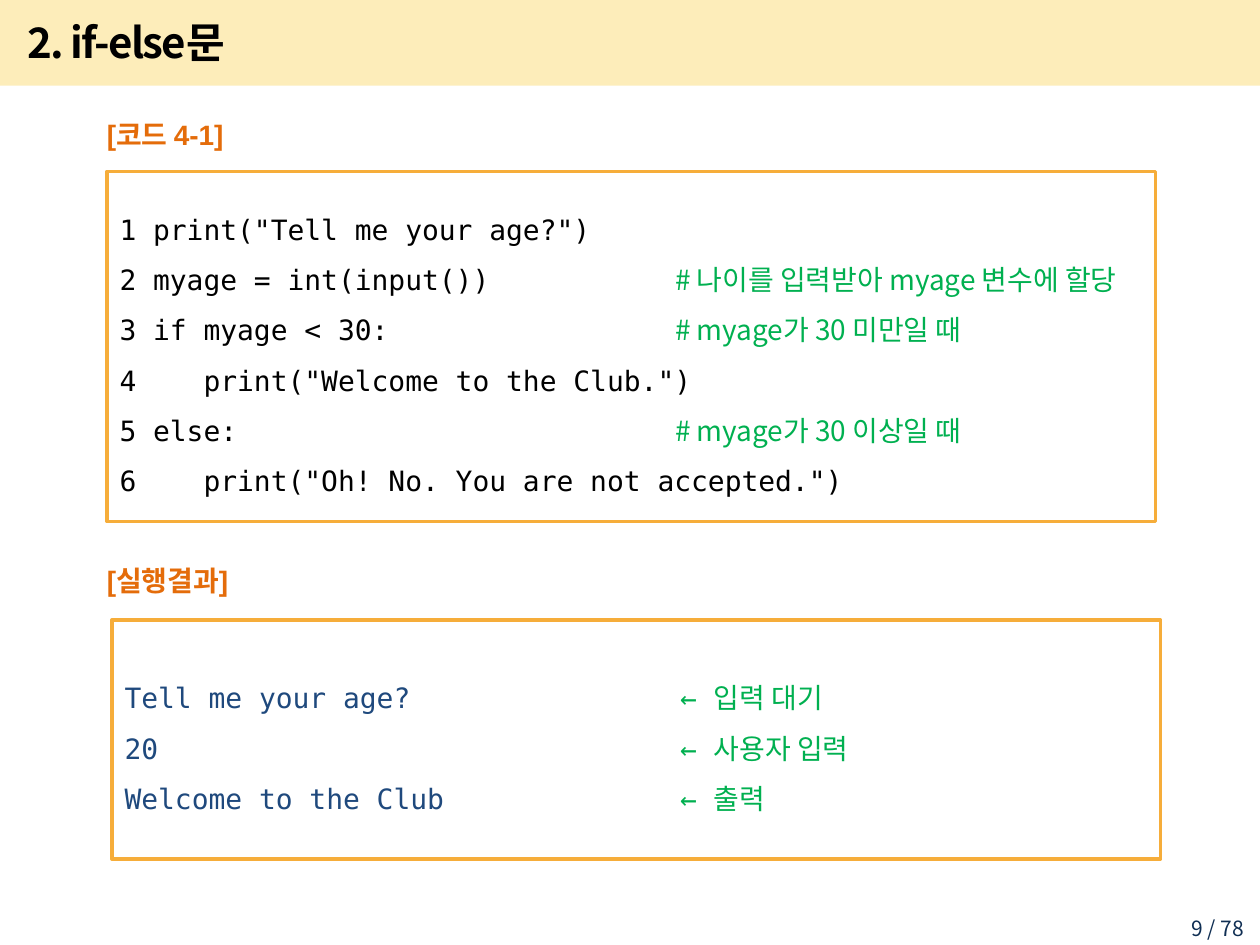
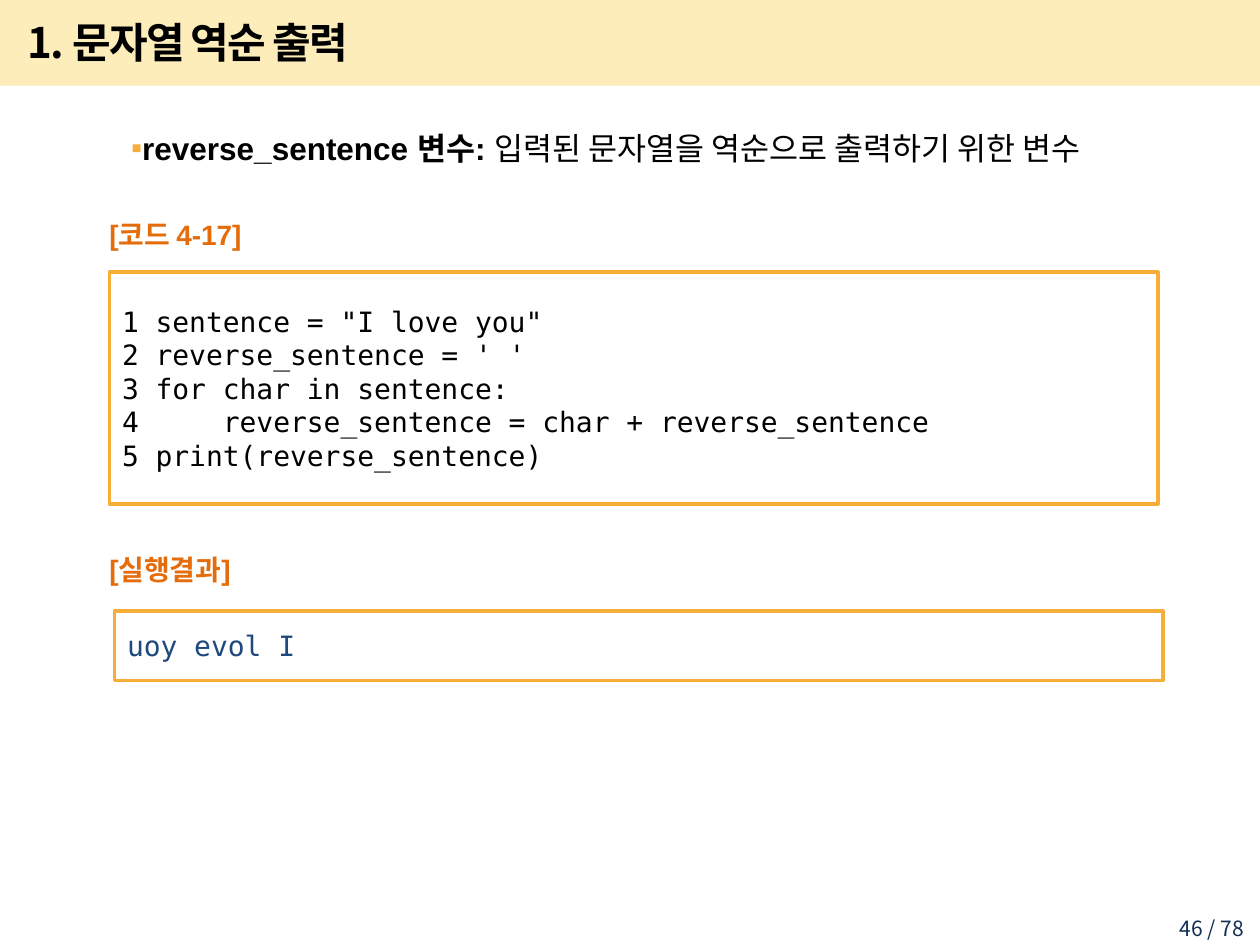
from dataclasses import dataclass

from lxml import etree
from pptx import Presentation, util as u
from pptx.dml.color import RGBColor
from pptx.enum import shapes, text
from pptx.oxml import ns


@dataclass(frozen=True)
class Theme:
    # Colours
    band: str = "FABE00"
    band_alpha: int = 27
    frame: str = "F6AD3A"
    label: str = "E46C0A"
    ink: str = "000000"
    comment: str = "00B050"
    output: str = "1F497D"
    number: str = "0F2E53"
    # Fonts
    korean: str = "Noto Sans CJK KR"
    sans: str = "Arial"
    mono: str = "DejaVu Sans Mono"
    # Type sizes
    title_size: int = 24
    body_size: int = 18
    code_size: int = 16
    number_size: int = 12


THEME = Theme()
PAGE_COUNT = 78
BOX_WIDTH = 8.32
COMMENT_TAB = 4.41


# Helpers
def add_xml(parent, tag, **attributes):
    return etree.SubElement(parent, ns.qn(tag), attributes)


def style(font, color, name=None, size=None, bold=None):
    font.color.rgb = RGBColor.from_string(color)
    font.bold = bold
    if size:
        font.size = u.Pt(size)
    if name:
        font.name = name
        add_xml(font._rPr, "a:ea", typeface=THEME.korean)


def place(shape, left, top, width, height):
    shape.left, shape.top = u.Inches(left), u.Inches(top)
    shape.width, shape.height = u.Inches(width), u.Inches(height)


def add_span(para, words):
    span = para.add_run()
    span.text = words
    return span


def add_text_box(page, words, left, top, width, height):
    box = page.shapes.add_textbox(*map(u.Inches, (left, top, width, height)))
    box.text_frame.word_wrap = True
    para = box.text_frame.paragraphs[0]
    add_span(para, words)
    return box.text_frame, para


def add_rectangle(page, left, top, width, height):
    box = page.shapes.add_shape(shapes.MSO_SHAPE.RECTANGLE,
                                *map(u.Inches, (left, top, width, height)))
    box.shadow.inherit = False
    return box


# Parts shared by every slide
def add_band(page):
    band = add_rectangle(page, 0, 0, 10, 0.68)
    band.line.fill.background()
    band.fill.solid()
    band.fill.fore_color.rgb = RGBColor.from_string(THEME.band)
    color = band._element.spPr.find(ns.qn("a:solidFill"))[0]
    add_xml(color, "a:alpha", val=str(THEME.band_alpha * 1000))
    page.shapes._spTree.insert(2, band._element)  # behind the title


def set_title(page, words):
    title = page.shapes.title
    place(title, 0.12, 0.07, 8.51, 0.52)
    frame = title.text_frame
    frame.auto_size = text.MSO_AUTO_SIZE.NONE
    frame.vertical_anchor = text.MSO_ANCHOR.MIDDLE
    para = frame.paragraphs[0]
    para.alignment = text.PP_ALIGN.LEFT
    span = add_span(para, words)
    style(para.font, THEME.ink, THEME.korean, THEME.title_size, True)
    span.font._rPr.set("spc", "-100")


def add_page_number(page, number):
    _, para = add_text_box(page, f"{number} / {PAGE_COUNT}", 9.05, 7.22, 0.92, 0.23)
    para.alignment = text.PP_ALIGN.RIGHT
    style(para.font, THEME.number, THEME.korean, THEME.number_size)


def add_page(deck, layout, title, number):
    page = deck.slides.add_slide(deck.slide_layouts.get_by_name(layout))
    add_band(page)
    set_title(page, title)
    add_page_number(page, number)
    return page


# Content parts
def add_label(page, words, left, top, height):
    frame, para = add_text_box(page, words, left, top, 1.57, height)
    frame.vertical_anchor = text.MSO_ANCHOR.MIDDLE
    style(para.font, THEME.label, THEME.sans, THEME.code_size, True)


def add_listing(page, lines, left, top, height, color, spacing=1.0, comment_font=None):
    """Framed lines; a (code, comment) pair sets the comment at the tab stop."""
    box = add_rectangle(page, left, top, BOX_WIDTH, height)
    box.fill.background()
    box.line.color.rgb = RGBColor.from_string(THEME.frame)
    box.line.width = u.Pt(2)
    frame = box.text_frame
    frame.word_wrap = True
    frame.vertical_anchor = text.MSO_ANCHOR.MIDDLE
    for index, line in enumerate(lines):
        para = frame.paragraphs[0] if index == 0 else frame.add_paragraph()
        para.alignment = text.PP_ALIGN.LEFT
        para.line_spacing = spacing
        code, comment = line if isinstance(line, tuple) else (line, None)
        if comment:
            tabs = add_xml(para._p.get_or_add_pPr(), "a:tabLst")
            add_xml(tabs, "a:tab", pos=str(u.Inches(COMMENT_TAB)), algn="l")
        style(para.font, color, THEME.mono, THEME.code_size)
        add_span(para, code + "\t" if comment else code)
        if comment:
            style(add_span(para, comment).font, THEME.comment, comment_font)


def set_bullet(page, term, meaning):
    body = page.placeholders[1]
    place(body, 0.35, 0.82, 9.15, 6.61)
    body.text_frame.auto_size = text.MSO_AUTO_SIZE.NONE
    para = body.text_frame.paragraphs[0]
    para.level = 1
    para.line_spacing = 1.5
    settings = para._p.get_or_add_pPr()
    settings.set("marL", str(u.Inches(0.39)))
    settings.set("indent", str(u.Inches(0.2)))
    add_xml(add_xml(settings, "a:buClr"), "a:srgbClr", val=THEME.frame)
    add_xml(settings, "a:buChar", char="▪")
    style(para.font, THEME.ink, THEME.sans, THEME.body_size)
    add_span(para, term).font.bold = True
    add_span(para, meaning)


# Slides
def build_if_else(deck):
    page = add_page(deck, "Title Only", "2. if-else문", 9)
    add_label(page, "[코드 4-1]", 0.75, 0.82, 0.5)
    add_listing(page, [
        '1 print("Tell me your age?")',
        ("2 myage = int(input())", "# 나이를 입력받아 myage 변수에 할당"),
        ("3 if myage < 30:", "# myage가 30 미만일 때"),
        '4    print("Welcome to the Club.")',
        ("5 else:", "# myage가 30 이상일 때"),
        '6    print("Oh! No. You are not accepted.")',
    ], 0.85, 1.36, 2.78, THEME.ink, 1.5, THEME.korean)
    add_label(page, "[실행결과]", 0.75, 4.33, 0.55)
    add_listing(page, [
        ("Tell me your age?", "← 입력 대기"),
        ("20", "← 사용자 입력"),
        ("Welcome to the Club", "← 출력"),
    ], 0.89, 4.92, 1.9, THEME.output, 1.5)


def build_reverse(deck):
    page = add_page(deck, "Title and Content", "1. 문자열 역순 출력", 46)
    set_bullet(page, "reverse_sentence 변수: ", "입력된 문자열을 역순으로 출력하기 위한 변수")
    add_label(page, "[코드 4-17]", 0.77, 1.61, 0.5)
    add_listing(page, [
        '1 sentence = "I love you"',
        "2 reverse_sentence = ' '",
        "3 for char in sentence:",
        "4     reverse_sentence = char + reverse_sentence",
        "5 print(reverse_sentence)",
    ], 0.87, 2.16, 1.84, THEME.ink)
    add_label(page, "[실행결과]", 0.77, 4.24, 0.55)
    add_listing(page, ["uoy evol I"], 0.91, 4.85, 0.55, THEME.output)


def main():
    deck = Presentation()
    deck.slide_width, deck.slide_height = u.Inches(10), u.Inches(7.5)
    build_if_else(deck)
    build_reverse(deck)
    deck.save("out.pptx")


if __name__ == "__main__":
    main()
